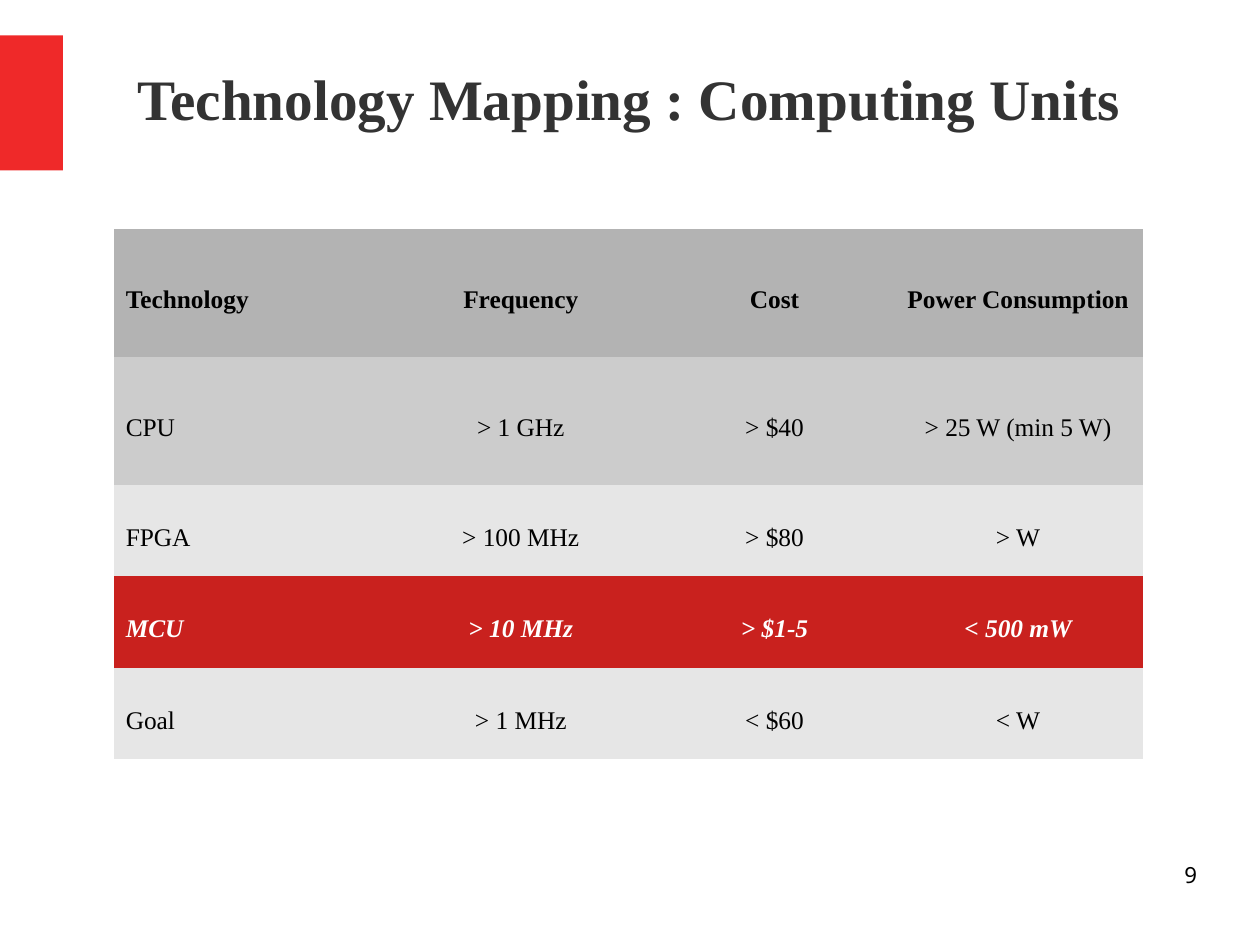
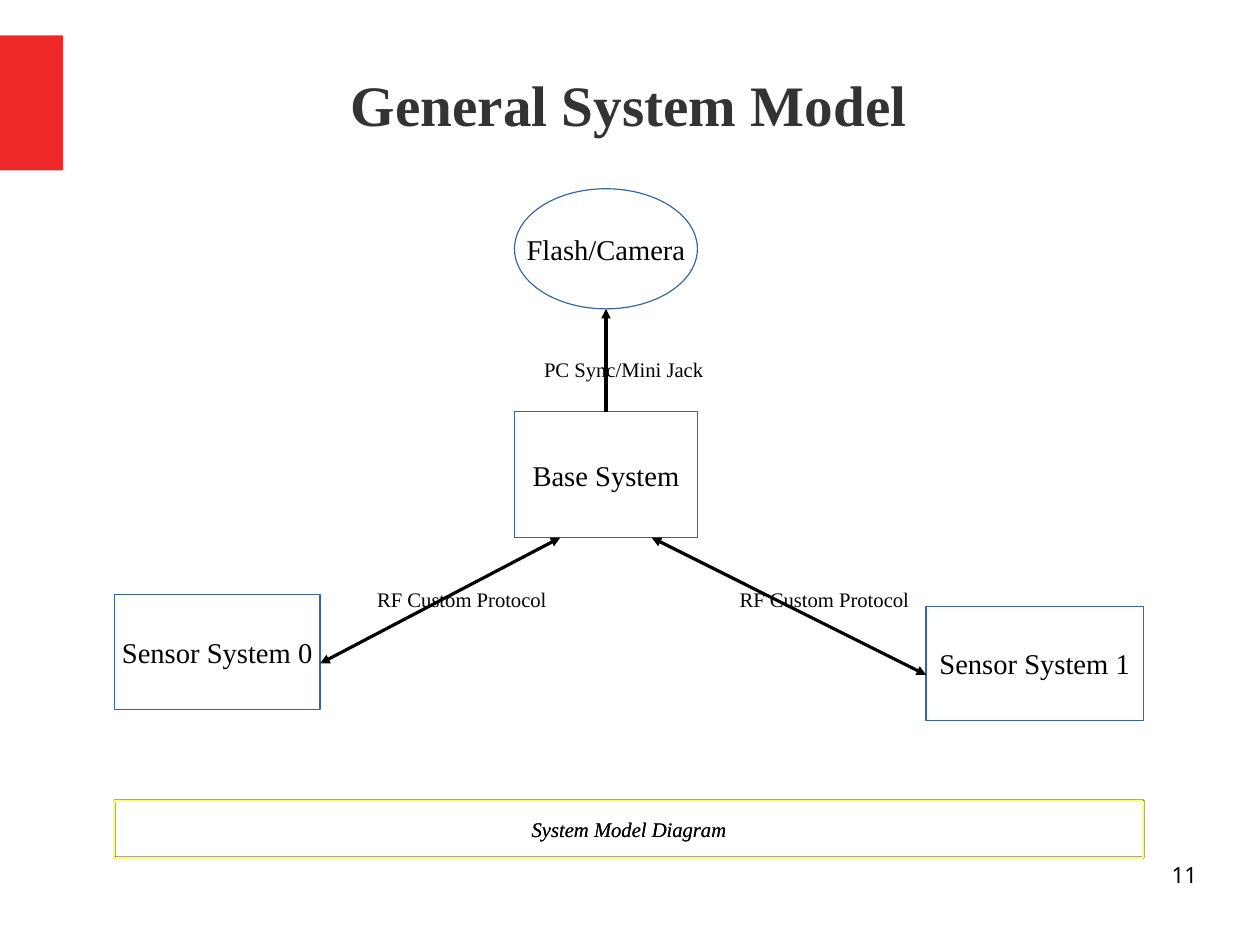
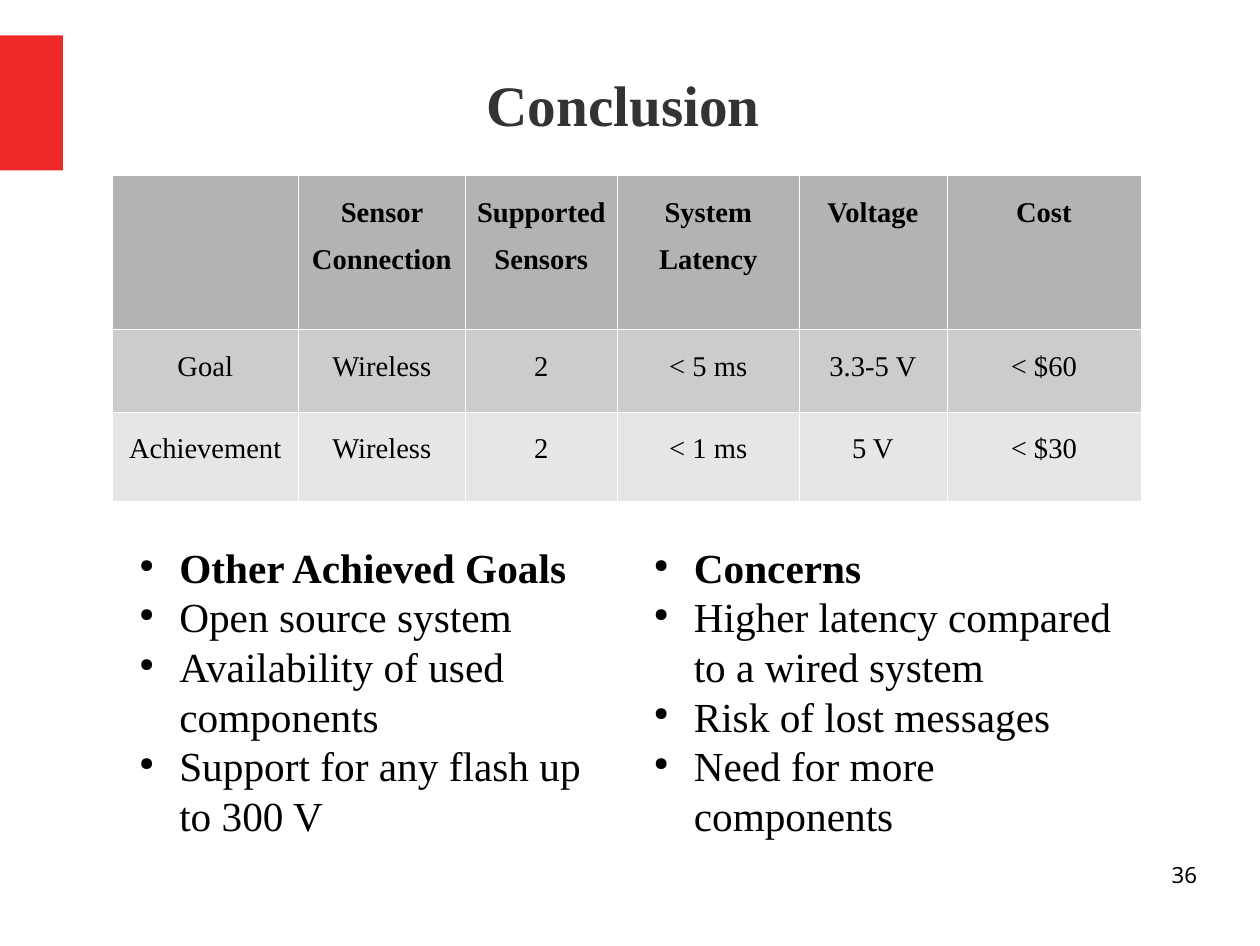
from dataclasses import dataclass

from lxml.etree import SubElement
from pptx import Presentation
from pptx.dml.color import RGBColor
from pptx.enum.shapes import MSO_CONNECTOR, MSO_SHAPE
from pptx.enum.text import MSO_ANCHOR, MSO_AUTO_SIZE, PP_ALIGN
from pptx.oxml.ns import qn
from pptx.util import Inches, Pt


@dataclass(frozen=True)
class Theme:
    serif: str = "Times New Roman"
    sans: str = "Noto Sans"
    ink: str = "000000"
    white: str = "FFFFFF"
    title: str = "333333"
    band: str = "EF2929"
    outline: str = "3465A4"
    caption: str = "FFFF6D"
    head_row: str = "B3B3B3"
    dark_row: str = "CCCCCC"
    light_row: str = "E6E6E6"
    marked_row: str = "C9211E"
    title_size: float = 36
    list_size: float = 26
    node_size: float = 18
    cell_size: float = 16
    number_size: float = 14
    label_size: float = 13
    hairline: float = 0
    grid_line: float = 0.06
    caption_line: float = 1.45


THEME = Theme()
PLAIN_TABLE = "{2D5ABB26-0587-4C30-8999-92F81FD0307C}"


def color(value):
    return RGBColor.from_string(value)


def inches(values):
    return [Inches(value) for value in values]


def add_element(parent, tag, **attributes):
    return SubElement(parent, qn(tag), {key: str(value) for key, value in attributes.items()})


class SlideBuilder:
    def __init__(self, theme):
        self.theme = theme
        self.deck = Presentation()
        self.deck.slide_width = Inches(11.02)
        self.deck.slide_height = Inches(8.27)
        self.page = None

    def start(self, title, number, at):
        theme = self.theme
        self.page = self.deck.slides.add_slide(self.deck.slide_layouts[5])
        self.shape((0, 0.31, 0.55, 1.18), fill=theme.band)
        heading = self.page.shapes.title
        heading.left, heading.top, heading.width, heading.height = inches(at)
        self.frame(heading.text_frame, MSO_ANCHOR.MIDDLE, (0, 0))
        self.fill_para(heading.text_frame.paragraphs[0], title, theme.title_size,
                       theme.title, PP_ALIGN.CENTER, bold=True)
        self.text((7.9, 7.53, 2.57, 0.57), str(number), theme.number_size,
                  align=PP_ALIGN.RIGHT, margins=(0, 0), wrap=True, name=theme.sans)

    def frame(self, frame, anchor, margins=(0.1, 0.05), wrap=True):
        frame.auto_size = MSO_AUTO_SIZE.NONE
        frame.word_wrap = wrap
        frame.vertical_anchor = anchor
        frame.margin_left = frame.margin_right = Inches(margins[0])
        frame.margin_top = frame.margin_bottom = Inches(margins[1])

    def fill_para(self, para, text, size, ink=None, align=PP_ALIGN.LEFT,
                  bold=False, italic=False, name=None):
        para.text = text
        para.alignment = align
        font = para.font
        font.name = name or self.theme.serif
        font.size = Pt(size)
        font.bold = bold
        font.italic = italic
        font.color.rgb = color(ink or self.theme.ink)

    def shape(self, at, kind=MSO_SHAPE.RECTANGLE, fill=None, line=None, width=0):
        box = self.page.shapes.add_shape(kind, *inches(at))
        box.shadow.inherit = False
        if fill:
            box.fill.solid()
            box.fill.fore_color.rgb = color(fill)
        else:
            box.fill.background()
        if line:
            box.line.color.rgb = color(line)
            box.line.width = Pt(width)
        else:
            box.line.fill.background()
        return box

    def text(self, at, text, size, align=PP_ALIGN.LEFT, anchor=MSO_ANCHOR.TOP,
             margins=(0.1, 0.05), wrap=False, name=None):
        box = self.page.shapes.add_textbox(*inches(at))
        self.frame(box.text_frame, anchor, margins, wrap)
        self.fill_para(box.text_frame.paragraphs[0], text, size, align=align, name=name)

    def node(self, at, text, kind=MSO_SHAPE.RECTANGLE):
        theme = self.theme
        box = self.shape(at, kind, theme.white, theme.outline, theme.hairline)
        self.frame(box.text_frame, MSO_ANCHOR.MIDDLE, wrap=False)
        self.fill_para(box.text_frame.paragraphs[0], text, theme.node_size,
                       align=PP_ALIGN.CENTER)

    def caption(self, at, text):
        theme = self.theme
        box = self.shape(at, line=theme.caption, width=theme.caption_line)
        effects = box._element.spPr.find(qn("a:effectLst"))
        shadow = add_element(effects, "a:outerShdw", blurRad=0, dist=0, dir=0,
                             algn="ctr", rotWithShape=0)
        ink = add_element(shadow, "a:srgbClr", val=theme.ink)
        add_element(ink, "a:alpha", val=99000)
        self.frame(box.text_frame, MSO_ANCHOR.MIDDLE, (0.01, 0.01))
        self.fill_para(box.text_frame.paragraphs[0], text, theme.label_size,
                       align=PP_ALIGN.CENTER, italic=True)

    def arrow(self, start, end, both=False):
        line = self.page.shapes.add_connector(MSO_CONNECTOR.STRAIGHT, *inches(start + end))
        line.line.color.rgb = color(self.theme.ink)
        line.line.width = Pt(self.theme.hairline)
        outline = line._element.spPr.find(qn("a:ln"))
        if both:
            add_element(outline, "a:headEnd", type="triangle")
        add_element(outline, "a:tailEnd", type="triangle")
        add_element(line._element.spPr, "a:effectLst")

    def bullets(self, at, items):
        theme = self.theme
        frame = self.page.shapes.add_textbox(*inches(at)).text_frame
        self.frame(frame, MSO_ANCHOR.TOP)
        for index, item in enumerate(items):
            para = frame.add_paragraph() if index else frame.paragraphs[0]
            properties = para._p.get_or_add_pPr()
            properties.set("marL", str(Inches(0.47)))
            properties.set("indent", str(Inches(-0.35)))
            ink = add_element(properties, "a:buClr")
            add_element(ink, "a:srgbClr", val=theme.ink)
            add_element(properties, "a:buSzPct", val=45000)
            add_element(properties, "a:buChar", char="●")
            self.fill_para(para, item, theme.list_size, bold=index == 0)

    def grid(self, cell):
        properties = cell._tc.get_or_add_tcPr()
        for side in ("a:lnL", "a:lnR", "a:lnT", "a:lnB"):
            border = add_element(properties, side, w=Pt(self.theme.grid_line))
            fill = add_element(border, "a:solidFill")
            add_element(fill, "a:srgbClr", val=self.theme.white)

    def table(self, at, widths, heights, rows, fills, size, anchor,
              first_align=PP_ALIGN.CENTER, grid=False):
        theme = self.theme
        table = self.page.shapes.add_table(
            len(rows), len(widths), *inches(at + (sum(widths), sum(heights)))).table
        table._tbl.tblPr.find(qn("a:tableStyleId")).text = PLAIN_TABLE
        for column, width in zip(table.columns, widths):
            column.width = Inches(width)
        for r, (texts, height, fill) in enumerate(zip(rows, heights, fills)):
            table.rows[r].height = Inches(height)
            marked = fill == theme.marked_row
            for c, text in enumerate(texts):
                cell = table.cell(r, c)
                if grid:
                    self.grid(cell)
                cell.fill.solid()
                cell.fill.fore_color.rgb = color(fill)
                cell.vertical_anchor = anchor
                para = cell.text_frame.paragraphs[0]
                para.line_spacing = 1.5
                self.fill_para(para, text, size, theme.white if marked else theme.ink,
                               PP_ALIGN.CENTER if c else first_align,
                               bold=marked or r == 0, italic=marked)


def computing_units(builder):
    theme = builder.theme
    builder.start("Technology Mapping : Computing Units", 9, (1, 0.25, 9, 1.21))
    builder.table(
        (1, 2), (2.37, 2.37, 2.07, 2.19), (1.12, 1.12, 0.8, 0.8, 0.8),
        [("Technology", "Frequency", "Cost", "Power Consumption"),
         ("CPU", "> 1 GHz", "> $40", "> 25 W (min 5 W)"),
         ("FPGA", "> 100 MHz", "> $80", "> W"),
         ("MCU", "> 10 MHz", "> $1-5", "< 500 mW"),
         ("Goal", "> 1 MHz", "< $60", "< W")],
        (theme.head_row, theme.dark_row, theme.light_row, theme.marked_row, theme.light_row),
        theme.cell_size, MSO_ANCHOR.MIDDLE, first_align=PP_ALIGN.LEFT)


def system_model(builder):
    size = builder.theme.label_size
    builder.start("General System Model", 11, (1, 0.31, 9, 1.19))
    builder.caption((1, 7, 9, 0.5), "System Model Diagram")
    builder.node((4.5, 3.6, 1.6, 1.1), "Base System")
    builder.node((4.5, 1.65, 1.6, 1.05), "Flash/Camera", MSO_SHAPE.OVAL)
    builder.text((4.66, 3.07, 1.59, 0.3), "PC Sync/Mini Jack", size)
    builder.node((1, 5.2, 1.8, 1), "Sensor System 0")
    builder.node((8.1, 5.3, 1.9, 1), "Sensor System 1")
    builder.arrow((5.3, 3.6), (5.3, 2.7))
    for left in (3.2, 6.37):
        builder.text((left, 5.1, 1.68, 0.3), "RF Custom Protocol", size,
                     anchor=MSO_ANCHOR.BOTTOM)
    builder.arrow((2.8, 5.8), (4.9, 4.7), both=True)
    builder.arrow((5.7, 4.7), (8.1, 5.9), both=True)


def conclusion(builder):
    theme = builder.theme
    builder.start("Conclusion", 36, (0.9, 0.31, 9.1, 1.19))
    builder.table(
        (0.98, 1.53), (1.63, 1.46, 1.33, 1.59, 1.29, 1.7), (1.35, 0.72, 0.78),
        [("", "Sensor Connection", "Supported Sensors", "System Latency", "Voltage", "Cost"),
         ("Goal", "Wireless", "2", "< 5 ms", "3.3-5 V", "< $60"),
         ("Achievement", "Wireless", "2", "< 1 ms", "5 V", "< $30")],
        (theme.head_row, theme.dark_row, theme.light_row),
        theme.node_size, MSO_ANCHOR.TOP, grid=True)
    columns = (
        ("Other Achieved Goals", "Open source system", "Availability of used components",
         "Support for any flash up to 300 V"),
        ("Concerns", "Higher latency compared to a wired system", "Risk of lost messages",
         "Need for more components"),
    )
    for index, items in enumerate(columns):
        builder.bullets((1 + 4.5 * index, 4.69, 4.5, 2.88), items)


def main():
    builder = SlideBuilder(THEME)
    for build in (computing_units, system_model, conclusion):
        build(builder)
    builder.deck.save("out.pptx")


if __name__ == "__main__":
    main()
